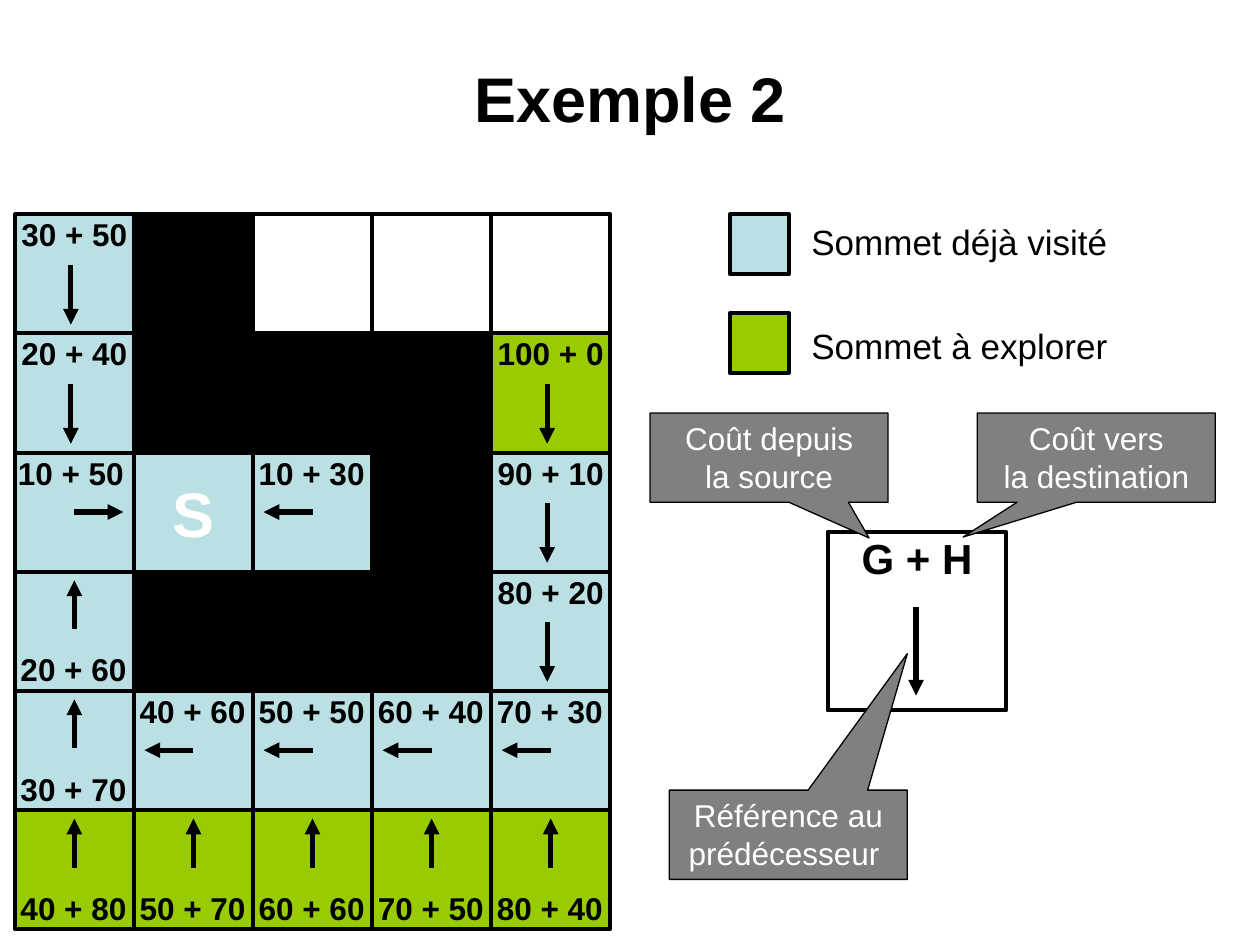
from dataclasses import dataclass

from lxml.etree import SubElement
from pptx import Presentation
from pptx.dml.color import RGBColor
from pptx.enum.shapes import MSO_CONNECTOR as LINK, MSO_SHAPE as FORM
from pptx.enum.text import MSO_ANCHOR as ANCHOR, PP_ALIGN as ALIGN
from pptx.oxml.ns import qn
from pptx.util import Pt

BLACK = RGBColor(0x00, 0x00, 0x00)
WHITE = RGBColor(0xFF, 0xFF, 0xFF)
BLUE = RGBColor(0xBB, 0xE0, 0xE3)
GREEN = RGBColor(0x99, 0xCC, 0x00)
GRAY = RGBColor(0x80, 0x80, 0x80)

LEFT, TOP, SIDE = 8.5, 122.5, 68.05
FILLS = {"#": BLACK, ".": WHITE, "v": BLUE, "o": GREEN}
GRID = ("v#...", "v###o", "vvv#v", "v###v", "vvvvv", "ooooo")


@dataclass
class Box:
    x: float
    y: float
    w: float
    h: float


@dataclass
class Font:
    size: float
    color: RGBColor = BLACK
    bold: bool = False
    align: ALIGN = ALIGN.CENTER


@dataclass
class Way:
    x1: float
    y1: float
    x2: float
    y2: float
    mid: float
    top: float


@dataclass
class Step:
    row: int
    col: int
    text: str
    way: Way


@dataclass
class Key:
    y: float
    color: RGBColor
    text: str
    top: float


@dataclass
class Note:
    box: Box
    lines: tuple[str, ...]
    tip: tuple[float, float]


DOWN = Way(32, 29, 32, 63, 34, -3)
RIGHT = Way(34, 34, 62, 34, 32, -2.5)
BACK = Way(34, 34, 6, 34, 33.5, -3)
UP = Way(34, 33, 34, 5, 33.5, 41.5)

STEPS = (
    Step(0, 0, "30 + 50", DOWN), Step(1, 0, "20 + 40", DOWN),
    Step(2, 0, "10 + 50", RIGHT), Step(2, 2, "10 + 30", BACK),
    Step(3, 0, "20 + 60", UP), Step(4, 0, "30 + 70", UP),
    Step(4, 1, "40 + 60", BACK), Step(4, 2, "50 + 50", BACK),
    Step(4, 3, "60 + 40", BACK), Step(4, 4, "70 + 30", BACK),
    Step(5, 0, "40 + 80", UP), Step(5, 1, "50 + 70", UP),
    Step(5, 2, "60 + 60", UP), Step(5, 3, "70 + 50", UP),
    Step(5, 4, "80 + 40", UP), Step(3, 4, "80 + 20", DOWN),
    Step(2, 4, "90 + 10", DOWN), Step(1, 4, "100 + 0", DOWN),
)
KEYS = (
    Key(122.5, BLUE, "Sommet déjà visité", 122.5),
    Key(179, GREEN, "Sommet à explorer", 182),
)
NOTES = (
    Note(Box(371.5, 236, 136, 51), ("Coût depuis", "la source"), (0.42, 0.9)),
    Note(Box(558.5, 236, 136, 51), ("Coût vers", "la destination"), (-0.56, 0.89)),
    Note(Box(382.5, 451.5, 136, 51), ("Référence au", "prédécesseur "), (0.5, -2.03)),
)


def write(shape, lines: tuple[str, ...], font: Font, anchor=ANCHOR.TOP) -> None:
    frame = shape.text_frame
    frame.word_wrap = True
    frame.vertical_anchor = anchor
    para = frame.paragraphs[0]
    para.alignment = font.align
    for i, line in enumerate(lines):
        if i:
            para.add_line_break()
        run = para.add_run()
        run.text = line
        run.font.name = "Arial"
        run.font.size = Pt(font.size)
        run.font.bold = font.bold
        run.font.color.rgb = font.color


def label(slide, box: Box, text: str, font: Font, anchor=ANCHOR.TOP) -> None:
    shape = slide.shapes.add_textbox(Pt(box.x), Pt(box.y), Pt(box.w), Pt(box.h))
    write(shape, (text,), font, anchor)


def block(slide, box: Box, fill: RGBColor, form=FORM.RECTANGLE, line: float = 2.25):
    shape = slide.shapes.add_shape(form, Pt(box.x), Pt(box.y), Pt(box.w), Pt(box.h))
    shape.shadow.inherit = False
    shape.fill.solid()
    shape.fill.fore_color.rgb = fill
    shape.line.color.rgb = BLACK
    shape.line.width = Pt(line)
    return shape


def arrow(slide, x1: float, y1: float, x2: float, y2: float) -> None:
    link = slide.shapes.add_connector(LINK.STRAIGHT, Pt(x1), Pt(y1), Pt(x2), Pt(y2))
    link.line.color.rgb = BLACK
    link.line.width = Pt(3)
    SubElement(link.line._get_or_add_ln(), qn("a:tailEnd"), type="triangle")
    SubElement(link._element.spPr, qn("a:effectLst"))


def cell(row: int, col: int) -> Box:
    return Box(LEFT + col * SIDE, TOP + row * SIDE, SIDE, SIDE)


def grid(slide) -> None:
    for row, marks in enumerate(GRID):
        for col, mark in enumerate(marks):
            shape = block(slide, cell(row, col), FILLS[mark])
            if (row, col) == (2, 1):
                write(shape, ("S",), Font(36, WHITE, True), ANCHOR.MIDDLE)


def move(slide, step: Step) -> None:
    box, way = cell(step.row, step.col), step.way
    arrow(slide, box.x + way.x1, box.y + way.y1, box.x + way.x2, box.y + way.y2)
    place = Box(box.x + way.mid - 50, box.y + way.top, 100, 29)
    label(slide, place, step.text, Font(18, bold=True))


def legend(slide, key: Key) -> None:
    block(slide, Box(417, key.y, 34, 34), key.color)
    label(slide, Box(456.5, key.top, 193, 31.5), key.text, Font(20, align=ALIGN.LEFT))


def callout(slide, note: Note) -> None:
    shape = block(slide, note.box, GRAY, FORM.RECTANGULAR_CALLOUT, 0.75)
    shape.adjustments[0], shape.adjustments[1] = note.tip
    write(shape, note.lines, Font(18, WHITE))


def main() -> None:
    deck = Presentation()
    deck.slide_width, deck.slide_height = Pt(720), Pt(540)
    slide = deck.slides.add_slide(deck.slide_layouts[6])
    label(slide, Box(36, 22, 648, 67), "Exemple 2", Font(36, bold=True), ANCHOR.MIDDLE)
    grid(slide)
    for key in KEYS:
        legend(slide, key)
    block(slide, Box(473, 304, 102, 102), WHITE)
    arrow(slide, 523.5, 347, 523.5, 397.5)
    label(slide, Box(467, 301, 114, 36), "G + H", Font(24, bold=True))
    for note in NOTES:
        callout(slide, note)
    for step in STEPS:
        move(slide, step)
    deck.save("out.pptx")


if __name__ == "__main__":
    main()
